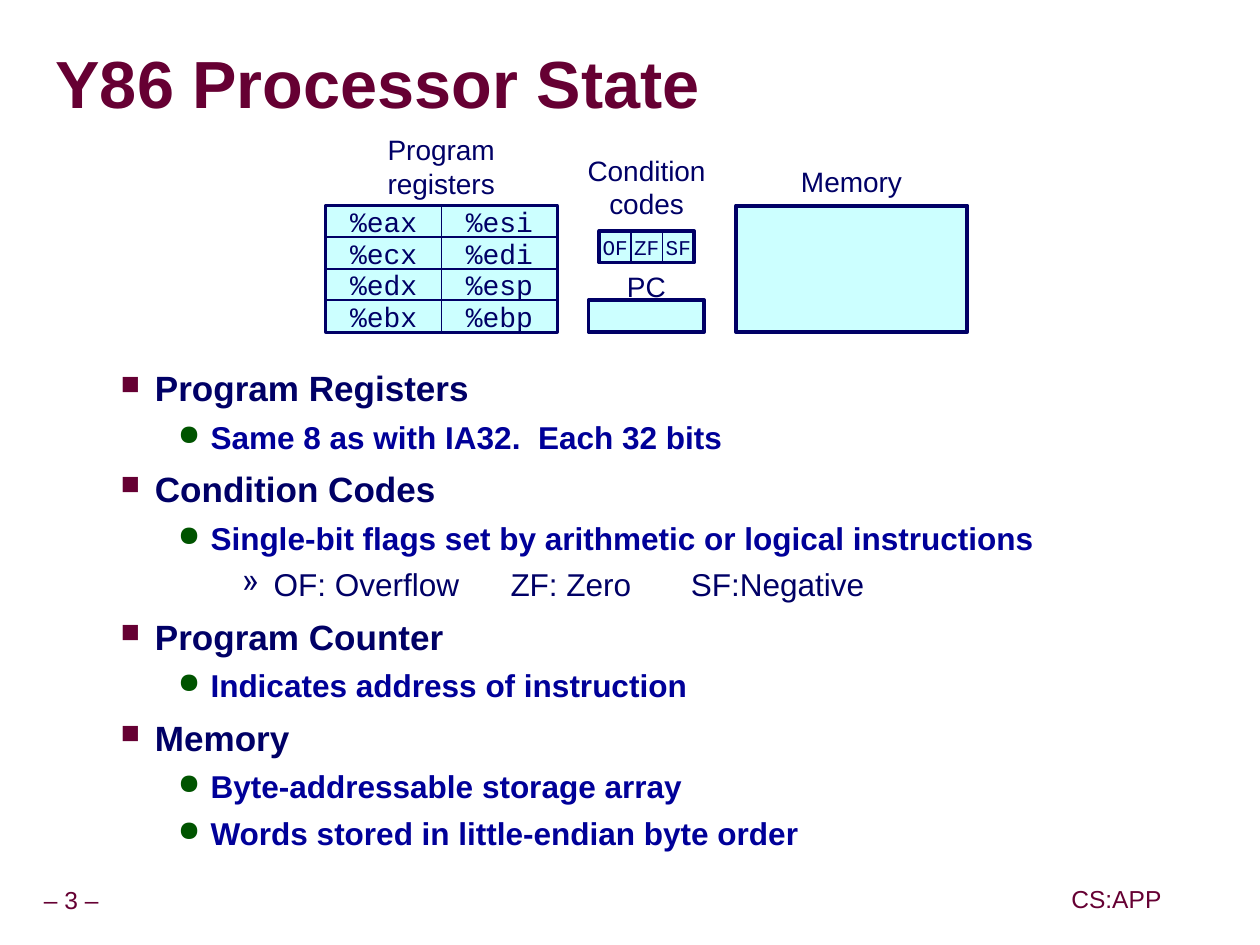
"""Build the Y86 processor state slide."""
from lxml.etree import SubElement
from pptx import Presentation
from pptx.dml.color import RGBColor
from pptx.enum.shapes import MSO_SHAPE
from pptx.enum.text import MSO_ANCHOR, PP_ALIGN
from pptx.oxml.ns import qn
from pptx.util import Cm, Pt

NAVY, BLUE, MAROON, GREEN, CYAN = "000066", "000099", "660033", "005400", "CCFFFF"
GREY = "969696"

TITLE = "Y86 Processor State"
FOOTERS = [("– 3 –", -0.23, 17.75, 3.33), ("CS:APP", 21.44, 17.73, 2.08)]
REGISTERS = [["%eax", "%ecx", "%edx", "%ebx"], ["%esi", "%edi", "%esp", "%ebp"]]
FLAGS = ["OF", "ZF", "SF"]
LABELS = [
    ("Program registers", 6.56, 2.54, 4.65, 1.63),
    ("Condition codes", 11.22, 2.96, 3.6, 1.63),
    ("PC", 11.85, 5.29, 2.33, 0.94),
    ("Memory", 14.82, 3.18, 4.65, 0.94),
]
OUTLINE = [
    (1, "Program Registers"),
    (2, "Same 8 as with IA32.  Each 32 bits"),
    (1, "Condition Codes"),
    (2, "Single-bit flags set by arithmetic or logical instructions"),
    (3, "OF: Overflow\tZF: Zero\tSF:Negative"),
    (1, "Program Counter"),
    (2, "Indicates address of instruction"),
    (1, "Memory"),
    (2, "Byte-addressable storage array"),
    (2, "Words stored in little-endian byte order"),
]
LEVELS = {
    1: dict(size=20, color=NAVY, bold=True, margin=2.06, hang=0.69, before=6.9,
            spacing=1, bullet="■", bullet_color=MAROON, percent=75),
    2: dict(size=18, color=BLUE, bold=True, margin=3.18, hang=0.66, before=3.5,
            spacing=1.07, bullet="●", bullet_color=GREEN, percent=90),
    3: dict(size=18, color=NAVY, bold=False, margin=4.45, hang=0.64, before=5.2,
            spacing=1, bullet="»", bullet_color=NAVY, percent=100),
}
TAB_STOPS = [9.22, 12.85]
CELL_HEIGHT = 0.635
REGISTER_WIDTH = 2.33
REGISTER_LEFT, REGISTER_TOP = 6.56, 4.14
FLAG_LEFT, FLAG_TOP = 12.07, 4.65
PC_LEFT, MEMORY_LEFT = 11.85, 14.82


def rgb(value):
    return RGBColor.from_string(value)


def add_run(paragraph, text, size, color, font="Arial", bold=False):
    run = paragraph.add_run()
    run.text = text
    run.font.name, run.font.size, run.font.bold = font, Pt(size), bold
    run.font.color.rgb = rgb(color)
    return run


def add_text_box(shapes, left, top, width, height, inset=None, wrap=True,
                 anchor=MSO_ANCHOR.TOP):
    box = shapes.add_textbox(Cm(left), Cm(top), Cm(width), Cm(height))
    frame = box.text_frame
    frame.word_wrap, frame.vertical_anchor = wrap, anchor
    if inset is not None:
        frame.margin_left = frame.margin_right = Cm(inset)
        frame.margin_top = frame.margin_bottom = Cm(inset)
    return frame


def add_box(shapes, left, top, width, height, line=2.25, fill=CYAN, text="", size=16):
    shape = shapes.add_shape(MSO_SHAPE.RECTANGLE, Cm(left), Cm(top), Cm(width), Cm(height))
    shape.shadow.inherit = False
    if fill:
        shape.fill.solid()
        shape.fill.fore_color.rgb = rgb(fill)
    else:
        shape.fill.background()
    shape.line.color.rgb, shape.line.width = rgb(NAVY), Pt(line)
    if text:
        frame = shape.text_frame
        frame.word_wrap, frame.vertical_anchor = False, MSO_ANCHOR.MIDDLE
        frame.paragraphs[0].alignment = PP_ALIGN.CENTER
        add_run(frame.paragraphs[0], text, size, NAVY, "Courier New")


def add_title(shapes):
    frame = add_text_box(shapes, 1.12, 0.69, 24.18, 2.16, 0, anchor=MSO_ANCHOR.MIDDLE)
    paragraph = frame.paragraphs[0]
    paragraph.line_spacing = 0.87
    run = add_run(paragraph, TITLE, 38, MAROON, bold=True)
    properties = run.font.fill._xPr
    effects = properties.makeelement(qn("a:effectLst"), {})
    properties.find(qn("a:solidFill")).addnext(effects)
    shadow = SubElement(effects, qn("a:outerShdw"), dist="50800", dir="2700000")
    SubElement(shadow, qn("a:srgbClr"), val=GREY)


def add_bullet(paragraph, level):
    properties = paragraph._p.get_or_add_pPr()
    properties.set("marL", str(Cm(level["margin"])))
    properties.set("indent", str(-Cm(level["hang"])))
    color = SubElement(properties, qn("a:buClr"))
    SubElement(color, qn("a:srgbClr"), val=level["bullet_color"])
    SubElement(properties, qn("a:buSzPct"), val=str(level["percent"] * 1000))
    SubElement(properties, qn("a:buChar"), char=level["bullet"])
    tabs = SubElement(properties, qn("a:tabLst"))
    for stop in TAB_STOPS:
        SubElement(tabs, qn("a:tab"), pos=str(Cm(stop)), algn="l")


def add_outline(shapes):
    frame = add_text_box(shapes, 0.81, 7.26, 23.04, 10.67)
    for index, (number, text) in enumerate(OUTLINE):
        level = LEVELS[number]
        paragraph = frame.add_paragraph() if index else frame.paragraphs[0]
        add_bullet(paragraph, level)
        paragraph.line_spacing = level["spacing"]
        paragraph.space_before = Pt(level["before"] if index else 0)
        add_run(paragraph, text, level["size"], level["color"], bold=level["bold"])


def add_state_diagram(shapes):
    block_width, block_height = 2 * REGISTER_WIDTH, 4 * CELL_HEIGHT
    add_box(shapes, REGISTER_LEFT, REGISTER_TOP, block_width, block_height)
    for column, names in enumerate(REGISTERS):
        for row, name in enumerate(names):
            add_box(shapes, REGISTER_LEFT + column * REGISTER_WIDTH,
                    REGISTER_TOP + row * CELL_HEIGHT, REGISTER_WIDTH, CELL_HEIGHT,
                    line=1, text=name)
    add_box(shapes, PC_LEFT, REGISTER_TOP + 3 * CELL_HEIGHT, REGISTER_WIDTH, CELL_HEIGHT)
    add_box(shapes, MEMORY_LEFT, REGISTER_TOP, block_width, block_height)
    flags = shapes.add_group_shape().shapes
    for index, name in enumerate(FLAGS):
        add_box(flags, FLAG_LEFT + index * CELL_HEIGHT, FLAG_TOP, CELL_HEIGHT, CELL_HEIGHT,
                line=1, text=name, size=12)
    add_box(flags, FLAG_LEFT, FLAG_TOP, len(FLAGS) * CELL_HEIGHT, CELL_HEIGHT, fill=None)
    for text, left, top, width, height in LABELS:
        paragraph = add_text_box(shapes, left, top, width, height).paragraphs[0]
        paragraph.alignment = PP_ALIGN.CENTER
        add_run(paragraph, text, 16, NAVY)


def add_footers(shapes):
    for text, left, top, width in FOOTERS:
        frame = add_text_box(shapes, left, top, width, 0.79, 0.13, False, MSO_ANCHOR.MIDDLE)
        paragraph = frame.paragraphs[0]
        paragraph.alignment, paragraph.line_spacing = PP_ALIGN.CENTER, 0.9
        add_run(paragraph, text, 14, MAROON)


def main():
    presentation = Presentation()
    presentation.slide_width, presentation.slide_height = Cm(25.37), Cm(19.02)
    slide = presentation.slides.add_slide(presentation.slide_layouts[6])
    add_footers(slide.shapes)
    add_title(slide.shapes)
    add_outline(slide.shapes)
    add_state_diagram(slide.shapes)
    presentation.save("out.pptx")


if __name__ == "__main__":
    main()
